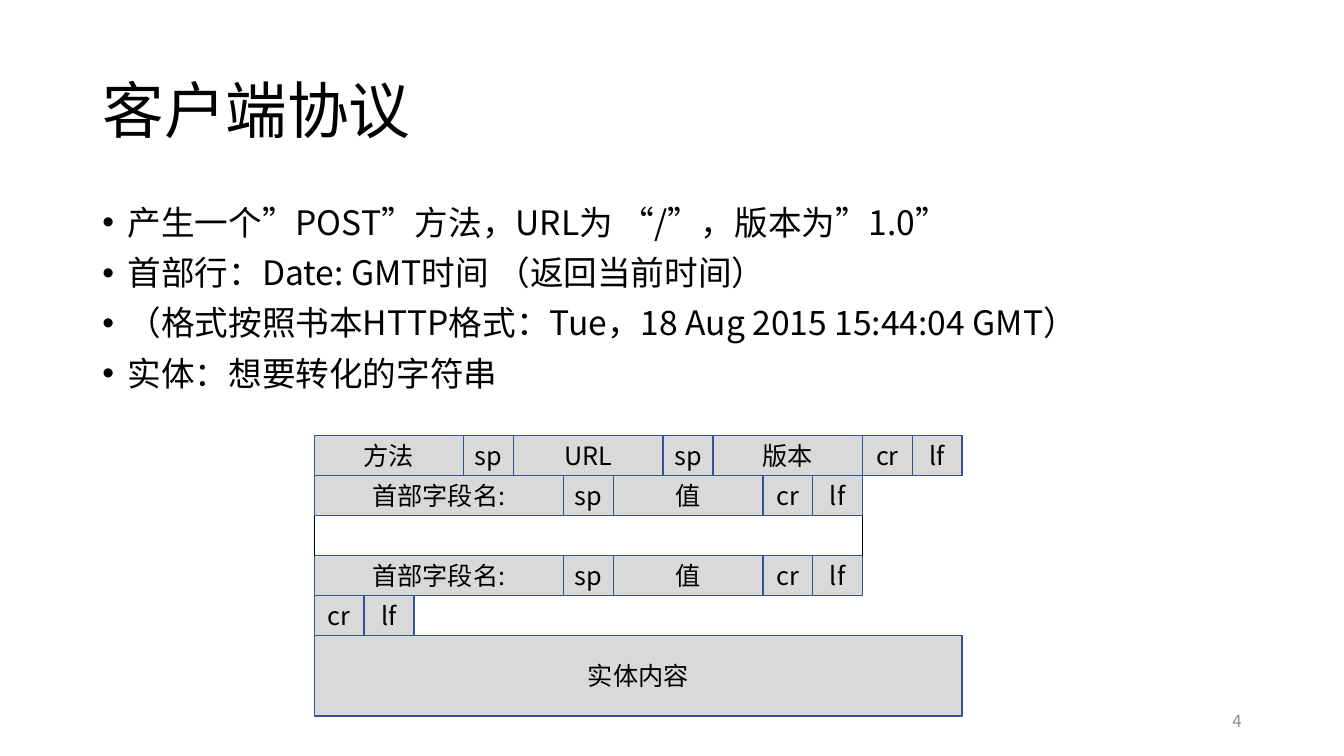
from dataclasses import dataclass
from lxml.etree import SubElement as Sub
from pptx import Presentation
from pptx.dml.color import RGBColor as Rgb
from pptx.enum.shapes import MSO_CONNECTOR as Conn, MSO_SHAPE as Kind
from pptx.enum.text import MSO_ANCHOR as Anchor, PP_ALIGN as Align
from pptx.oxml.ns import qn
from pptx.util import Cm, Pt


@dataclass(frozen=True)
class Theme:
    """Colours, font and type sizes of the slide."""
    font: str = "Noto Sans CJK SC"
    ink: str = "000000"
    cell: str = "D9D9D9"
    edge: str = "325491"
    mute: str = "8C8C8C"
    title: int = 44
    body: int = 24
    label: int = 18
    note: int = 12


THEME = Theme()
LEFT, TOP = 7.92, 10.97
UNIT, ROW = 16.33 / 13, 1.01

POINTS = (
    "产生一个”POST”方法，URL为 “/”，版本为”1.0”",
    "首部行：Date: GMT时间 （返回当前时间）",
    "（格式按照书本HTTP格式：Tue，18 Aug 2015 15:44:04 GMT）",
    "实体：想要转化的字符串",
)
END = (("cr", 1), ("lf", 1))
HEAD = (("首部字段名:", 5), ("sp", 1), ("值", 3)) + END
START = (("方法", 3), ("sp", 1), ("URL", 3), ("sp", 1), ("版本", 3)) + END
ROWS = (
    (0, 1, START),
    (1, 1, HEAD),
    (3, 1, HEAD),
    (4, 1, END),
    (5, 2, (("实体内容", 13),)),
)


def apply(item, form):
    """Set each attribute named in the format."""
    for name, value in form.items():
        setattr(item, name, value)


def place(shape, left, top, width, height):
    """Move and size a shape in centimetres."""
    apply(shape, {"left": Cm(left), "top": Cm(top),
                  "width": Cm(width), "height": Cm(height)})


def write(shape, lines, size, color=THEME.ink, frame=None, para=None):
    """Fill a shape with styled paragraphs."""
    text = shape.text_frame
    text.text = "\n".join(lines)
    apply(text, {"word_wrap": True, **(frame or {})})
    for item in text.paragraphs:
        apply(item, para or {})
        for run in item.runs:
            apply(run.font, {"size": Pt(size), "name": THEME.font})
            run.font.color.rgb = Rgb.from_string(color)
            Sub(run.font._element, qn("a:ea"), typeface=THEME.font)


def add_box(slide, area, lines, size, **form):
    """Add a text box."""
    box = slide.shapes.add_textbox(0, 0, 0, 0)
    place(box, *area)
    write(box, lines, size, **form)
    return box


def add_list(slide, area, lines):
    """Add a bulleted list."""
    box = add_box(slide, area, lines, THEME.body,
                  para={"line_spacing": 0.9, "space_before": Pt(10)})
    for item in box.text_frame.paragraphs:
        props = item._p.get_or_add_pPr()
        props.set("marL", str(Cm(0.64)))
        props.set("indent", str(-Cm(0.64)))
        Sub(props, qn("a:buFont"), typeface="Arial")
        Sub(props, qn("a:buChar"), char="•")


def add_cell(slide, area, label):
    """Add one field of the message."""
    cell = slide.shapes.add_shape(Kind.RECTANGLE, 0, 0, 0, 0)
    place(cell, *area)
    cell.shadow.inherit = False
    cell.fill.solid()
    cell.fill.fore_color.rgb = Rgb.from_string(THEME.cell)
    cell.line.color.rgb = Rgb.from_string(THEME.edge)
    cell.line.width = Pt(1)
    write(cell, [label], THEME.label, para={"alignment": Align.CENTER},
          frame={"vertical_anchor": Anchor.MIDDLE, "word_wrap": False})


def add_row(slide, row, span, cells):
    """Add fields side by side, each some units wide."""
    col = 0
    for label, units in cells:
        add_cell(slide, (LEFT + col * UNIT, TOP + row * ROW,
                         units * UNIT, span * ROW), label)
        col += units


def add_side(slide, col):
    """Add a side line of the gap between header rows."""
    x = Cm(LEFT + col * UNIT)
    line = slide.shapes.add_connector(
        Conn.STRAIGHT, x, Cm(TOP + 2 * ROW), x, Cm(TOP + 3 * ROW))
    line.line.color.rgb = Rgb.from_string(THEME.ink)
    line.line.width = Pt(0.5)
    Sub(line._element.spPr, qn("a:effectLst"))


def main():
    """Build the slide and save it."""
    deck = Presentation()
    apply(deck, {"slide_width": Cm(33.87), "slide_height": Cm(19.05)})
    slide = deck.slides.add_slide(deck.slide_layouts.get_by_name("Title Only"))
    title = slide.shapes.title
    place(title, 2.33, 1.01, 29.21, 3.68)
    write(title, ["客户端协议"], THEME.title,
          frame={"vertical_anchor": Anchor.MIDDLE},
          para={"alignment": Align.LEFT, "line_spacing": 0.9})
    add_list(slide, (2.33, 5.07, 29.21, 12.09), POINTS)
    for row, span, cells in ROWS:
        add_row(slide, row, span, cells)
    for col in (0, 11):
        add_side(slide, col)
    add_box(slide, (23.92, 17.66, 7.62, 1.01), ["4"], THEME.note,
            color=THEME.mute, frame={"vertical_anchor": Anchor.MIDDLE},
            para={"alignment": Align.RIGHT})
    deck.save("out.pptx")


main()
